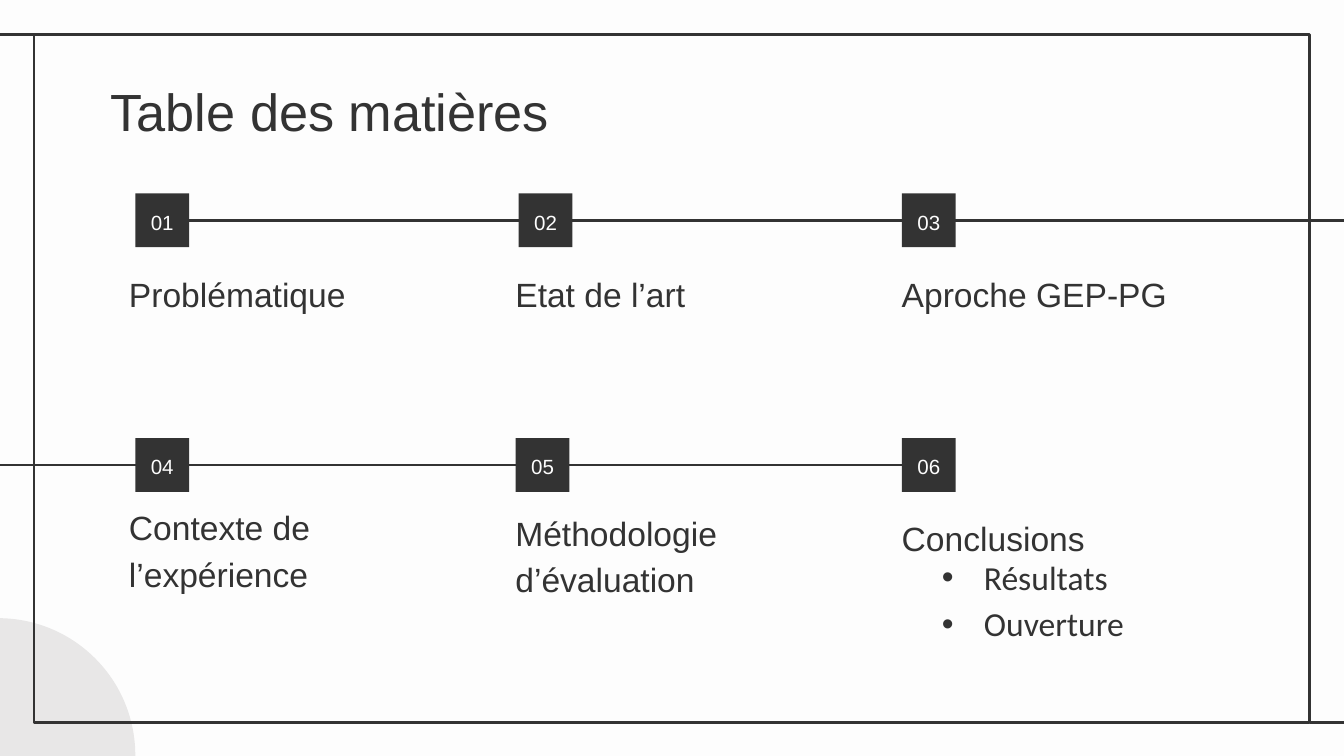
from dataclasses import dataclass

from lxml.etree import SubElement
from pptx import Presentation
from pptx.dml.color import RGBColor
from pptx.enum.shapes import MSO_CONNECTOR, MSO_SHAPE
from pptx.enum.text import MSO_ANCHOR, PP_ALIGN
from pptx.oxml.ns import qn
from pptx.shapes.autoshape import Shape
from pptx.slide import Slide
from pptx.util import Pt

INK = RGBColor(0x33, 0x33, 0x33)
PAPER = RGBColor(0xFD, 0xFD, 0xFD)
PALE = RGBColor(0xE8, 0xE7, 0xE7)

WIDTH, HEIGHT = 720, 405
BADGE = 28.8
INSET = 7.2
LABEL_WIDTH, LABEL_HEIGHT = 181.4, 30.2
LABEL_LEFT, LABEL_STEP = 62, 207
FIRST_ROW, SECOND_ROW = 103.7, 234.7
FRAME_LEFT, FRAME_TOP, FRAME_WIDTH, FRAME_HEIGHT = 18.2, 18.3, 683.4, 368.6


@dataclass(frozen=True)
class Chapter:
    number: str
    heading: str
    column: int
    badge_left: float
    badge_top: float
    label_top: float


CHAPTERS = [
    Chapter("01", "Problématique", 0, 72.5, FIRST_ROW, 145.4),
    Chapter("02", "Etat de l’art", 1, 277.9, FIRST_ROW, 145.4),
    Chapter("03", "Aproche GEP-PG", 2, 483.2, FIRST_ROW, 145.4),
    Chapter("04", "Contexte de l’expérience", 0, 72.5, SECOND_ROW, 295.2),
    Chapter("05", "Méthodologie d’évaluation", 1, 276.3, SECOND_ROW, 298.1),
    Chapter("06", "Conclusions", 2, 483.2, SECOND_ROW, 275.8),
]


def add_block(slide: Slide, kind: MSO_SHAPE, left: float, top: float,
              width: float, height: float) -> Shape:
    block = slide.shapes.add_shape(kind, Pt(left), Pt(top), Pt(width), Pt(height))
    block.shadow.inherit = False
    return block


def add_rule(slide: Slide, start: float, end: float, height: float) -> None:
    rule = slide.shapes.add_connector(
        MSO_CONNECTOR.STRAIGHT, Pt(start), Pt(height), Pt(end), Pt(height))
    rule.line.color.rgb = INK
    rule.line.width = Pt(1.5)
    SubElement(rule._element.spPr, qn("a:effectLst"))


def add_bullet(paragraph) -> None:
    properties = paragraph._p.get_or_add_pPr()
    properties.set("marL", str(Pt(22.5)))
    properties.set("indent", str(-Pt(22.5)))
    SubElement(SubElement(properties, qn("a:buClr")), qn("a:srgbClr"), val=str(INK))
    SubElement(properties, qn("a:buFont"), typeface="Arial")
    SubElement(properties, qn("a:buChar"), char="•")


def write(holder: Shape, text: str, size: float, color: RGBColor = INK,
          font: str = "Arial", anchor: MSO_ANCHOR = MSO_ANCHOR.BOTTOM,
          align: PP_ALIGN = PP_ALIGN.LEFT, spacing: float = 1.15,
          bulleted: bool = False) -> None:
    frame = holder.text_frame
    frame.text = text
    frame.word_wrap = True
    frame.vertical_anchor = anchor
    frame.margin_left = frame.margin_right = Pt(INSET)
    frame.margin_top = frame.margin_bottom = Pt(INSET)
    for paragraph in frame.paragraphs:
        paragraph.alignment = align
        paragraph.line_spacing = spacing
        if bulleted:
            add_bullet(paragraph)
        for run in paragraph.runs:
            run.font.name = font
            run.font.size = Pt(size)
            run.font.color.rgb = color


def add_text(slide: Slide, left: float, top: float, width: float, height: float) -> Shape:
    return slide.shapes.add_textbox(Pt(left), Pt(top), Pt(width), Pt(height))


def draw_backdrop(slide: Slide) -> None:
    slide.background.fill.solid()
    slide.background.fill.fore_color.rgb = PAPER
    corner = add_block(slide, MSO_SHAPE.OVAL, -74.4, 331.2, 146.9, 146.9)
    corner.fill.solid()
    corner.fill.fore_color.rgb = PALE
    corner.line.fill.background()
    border = add_block(slide, MSO_SHAPE.RECTANGLE,
                       FRAME_LEFT, FRAME_TOP, FRAME_WIDTH, FRAME_HEIGHT)
    border.fill.background()
    border.line.color.rgb = INK
    border.line.width = Pt(1.5)
    add_rule(slide, 0, FRAME_LEFT, FRAME_TOP)
    add_rule(slide, FRAME_LEFT + FRAME_WIDTH, WIDTH, FRAME_TOP + FRAME_HEIGHT)


def draw_badge(slide: Slide, chapter: Chapter) -> None:
    badge = add_block(slide, MSO_SHAPE.RECTANGLE,
                      chapter.badge_left, chapter.badge_top, BADGE, BADGE)
    badge.fill.solid()
    badge.fill.fore_color.rgb = INK
    badge.line.fill.background()
    write(badge, chapter.number, 11, PAPER,
          anchor=MSO_ANCHOR.MIDDLE, align=PP_ALIGN.CENTER)


def draw_label(slide: Slide, chapter: Chapter) -> None:
    left = LABEL_LEFT + chapter.column * LABEL_STEP
    label = add_text(slide, left, chapter.label_top, LABEL_WIDTH, LABEL_HEIGHT)
    write(label, chapter.heading, 18)


def main() -> None:
    presentation = Presentation()
    presentation.slide_width = Pt(WIDTH)
    presentation.slide_height = Pt(HEIGHT)
    slide = presentation.slides.add_slide(presentation.slide_layouts[6])

    draw_backdrop(slide)
    add_rule(slide, 0, CHAPTERS[-1].badge_left, SECOND_ROW + BADGE / 2)
    add_rule(slide, CHAPTERS[0].badge_left + BADGE, WIDTH, FIRST_ROW + BADGE / 2)

    title = add_text(slide, 52.3, 35.3, 607, 45.4)
    write(title, "Table des matières", 28, anchor=MSO_ANCHOR.TOP, spacing=1.0)
    for chapter in CHAPTERS:
        draw_badge(slide, chapter)
        draw_label(slide, chapter)

    conclusion_topics = add_text(slide, 497.5, 321.8, LABEL_WIDTH, LABEL_HEIGHT)
    write(conclusion_topics, "Résultats\nOuverture", 18, font="Calibri", bulleted=True)

    presentation.save("out.pptx")


if __name__ == "__main__":
    main()
